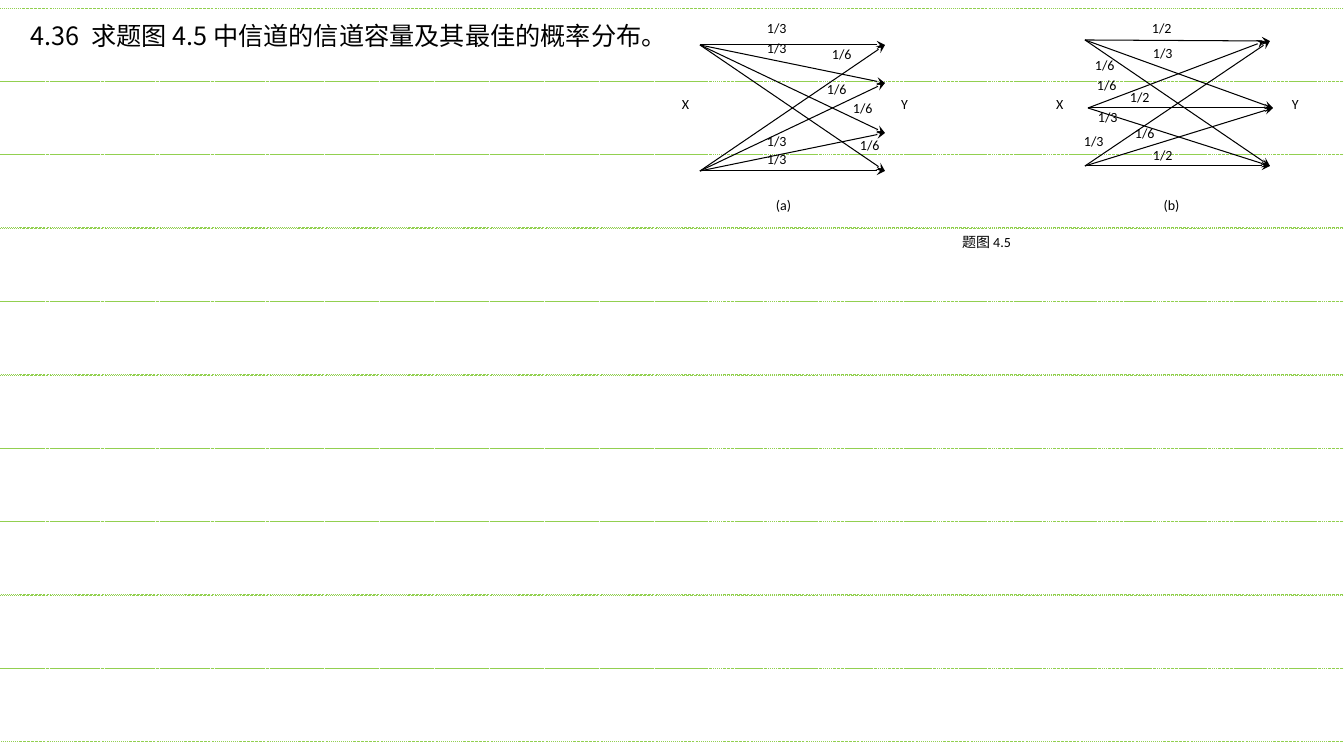
from lxml import etree
from pptx import Presentation
from pptx import util as u
from pptx.dml.color import RGBColor
from pptx.enum import dml, shapes, text
from pptx.oxml.ns import qn

INK = {"text": "000000", "rule": "92D050"}
LATIN, HAN = "Calibri", "Noto Sans CJK SC"
ROW = 25  # label height


def px(n):
    return u.Emu(round(n * 914400 / 100.8))


def rgb(name):
    return RGBColor.from_string(INK[name])


def write(slide, box, words, size=10, font=LATIN, align=text.PP_ALIGN.JUSTIFY,
          wrap=True, inset=(0, 0)):
    frame = slide.shapes.add_textbox(*map(px, box)).text_frame
    frame.word_wrap = wrap
    frame.margin_left = frame.margin_right = px(inset[0])
    frame.margin_top = frame.margin_bottom = px(inset[1])
    para = frame.paragraphs[0]
    para.alignment = align
    run = para.add_run()
    run.text = words
    run.font.size = u.Pt(size)
    run.font.name = font
    run.font.color.rgb = rgb("text")
    # East Asian typeface
    etree.SubElement(run._r.get_or_add_rPr(), qn("a:ea"), typeface=HAN)
    return para


def arrow(slide, start, end):
    line = slide.shapes.add_connector(
        shapes.MSO_CONNECTOR.STRAIGHT, *map(px, (*start, *end)))
    line.line.color.rgb = rgb("text")
    line.line.width = u.Pt(0.75)
    etree.SubElement(line.line._get_or_add_ln(), qn("a:tailEnd"), type="stealth")
    etree.SubElement(line._element.spPr, qn("a:effectLst"))


def paper(slide, box, rows):
    """Ruled paper: equal dashed bands."""
    left, top, width, height = box
    for i in range(rows):
        band = slide.shapes.add_shape(
            shapes.MSO_SHAPE.RECTANGLE, px(left), px(top + i * height // rows),
            px(width), px(height // rows))
        band.shadow.inherit = False
        band.fill.background()
        band.line.color.rgb = rgb("rule")
        band.line.width = u.Pt(0.25)
        band.line.dash_style = dml.MSO_LINE.DASH_DOT


def title(slide, box):
    para = write(slide, box, "4.36  求题图 4.5 中信道的信道容量及其最佳的概率分布。",
                 18, HAN, text.PP_ALIGN.LEFT, inset=(10, 5))
    para.line_spacing = 0.9
    para.space_before = u.Pt(10)


def graph(slide, box, plan):
    """Channel diagram; all points are relative to the box."""
    left, top, width, height = box

    def at(spot):
        return left + spot[0], top + spot[1]

    for i, j in plan["links"]:
        arrow(slide, at(plan["from"][i]), at(plan["to"][j]))
    for odds, spots in plan["odds"].items():
        for spot in spots:
            write(slide, (*at(spot), 33, ROW), odds)
    # Input and output names
    for name, x in (("X", 0), ("Y", width - 14)):
        write(slide, (*at((x, 76)), 14, ROW), name, wrap=False)
    write(slide, (*at((plan["shift"], height - ROW)), 203, ROW), plan["name"],
          align=text.PP_ALIGN.CENTER)


PLAN_A = {
    "name": "(a)", "shift": 0,
    "from": [(18, 25), (18, 151)],
    "to": [(203, 25), (203, 63), (203, 113), (203, 151)],
    "links": [(i, j) for i in range(2) for j in range(4)],
    "odds": {"1/3": [(85, 0), (85, 20), (85, 113), (85, 131)],
             "1/6": [(150, 26), (145, 61), (171, 80), (178, 117)]},
}
# The last end point is where the middle input meets the first output
PLAN_B = {
    "name": "(b)", "shift": 14,
    "from": [(29, 20), (32, 88), (29, 146)],
    "to": [(214, 21), (217, 88), (214, 146), (209, 21)],
    "links": [(0, 0), (0, 1), (0, 2), (1, 3), (1, 1), (1, 2),
              (2, 0), (2, 1), (2, 2)],
    "odds": {"1/2": [(96, 0), (74, 69), (97, 127)],
             "1/3": [(97, 25), (42, 89), (28, 113)],
             "1/6": [(39, 37), (41, 57), (79, 105)]},
}


def main():
    deck = Presentation()
    deck.slide_width, deck.slide_height = px(1344), px(756)
    slide = deck.slides.add_slide(deck.slide_layouts[6])
    paper(slide, (-94, 8, 1552, 734), 10)
    graph(slide, (682, 20, 233, 202), PLAN_A)
    graph(slide, (1056, 20, 250, 202), PLAN_B)
    write(slide, (885, 234, 203, ROW), "题图 4.5", align=text.PP_ALIGN.CENTER)
    title(slide, (21, 19, 1302, 721))
    deck.save("out.pptx")


if __name__ == "__main__":
    main()
